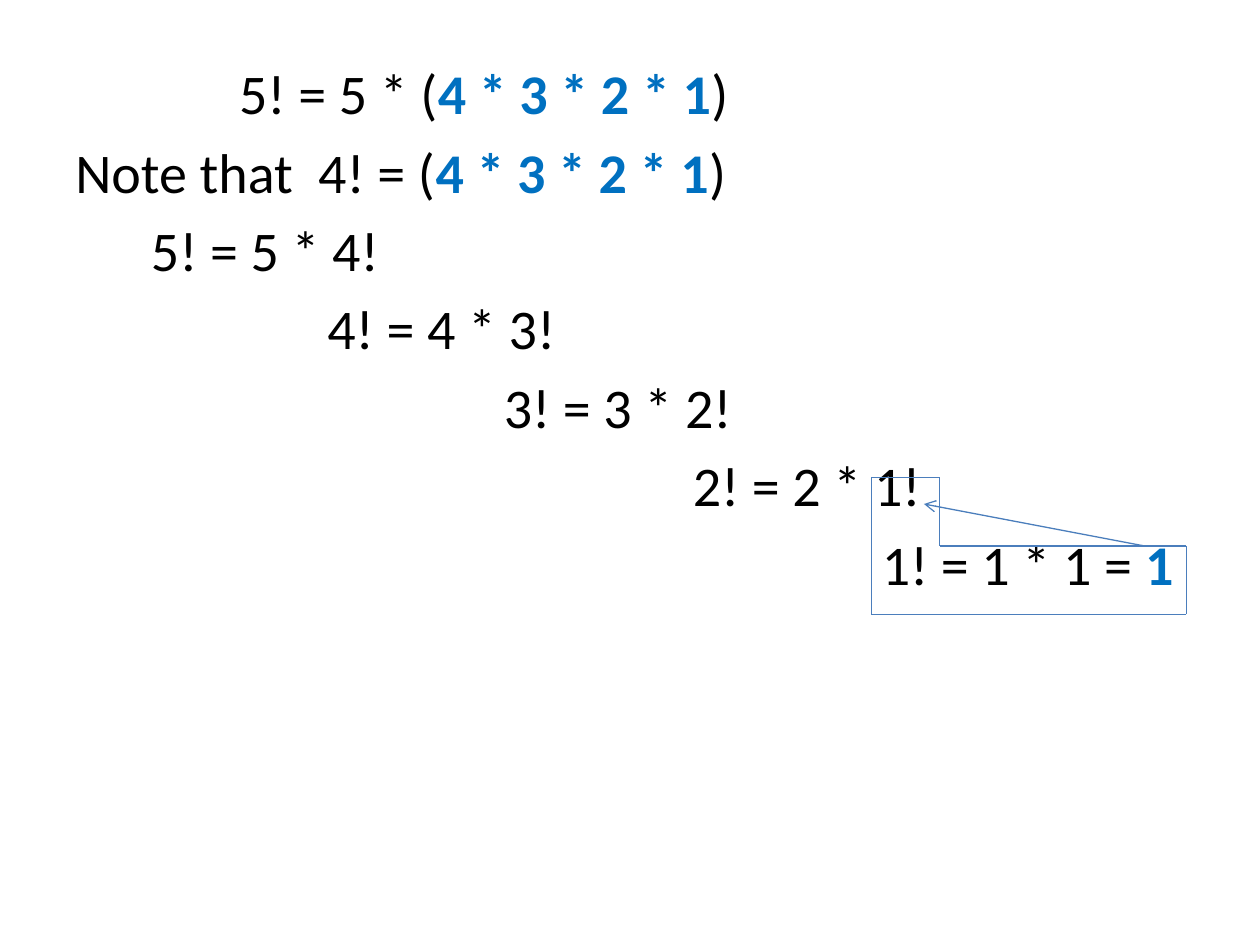
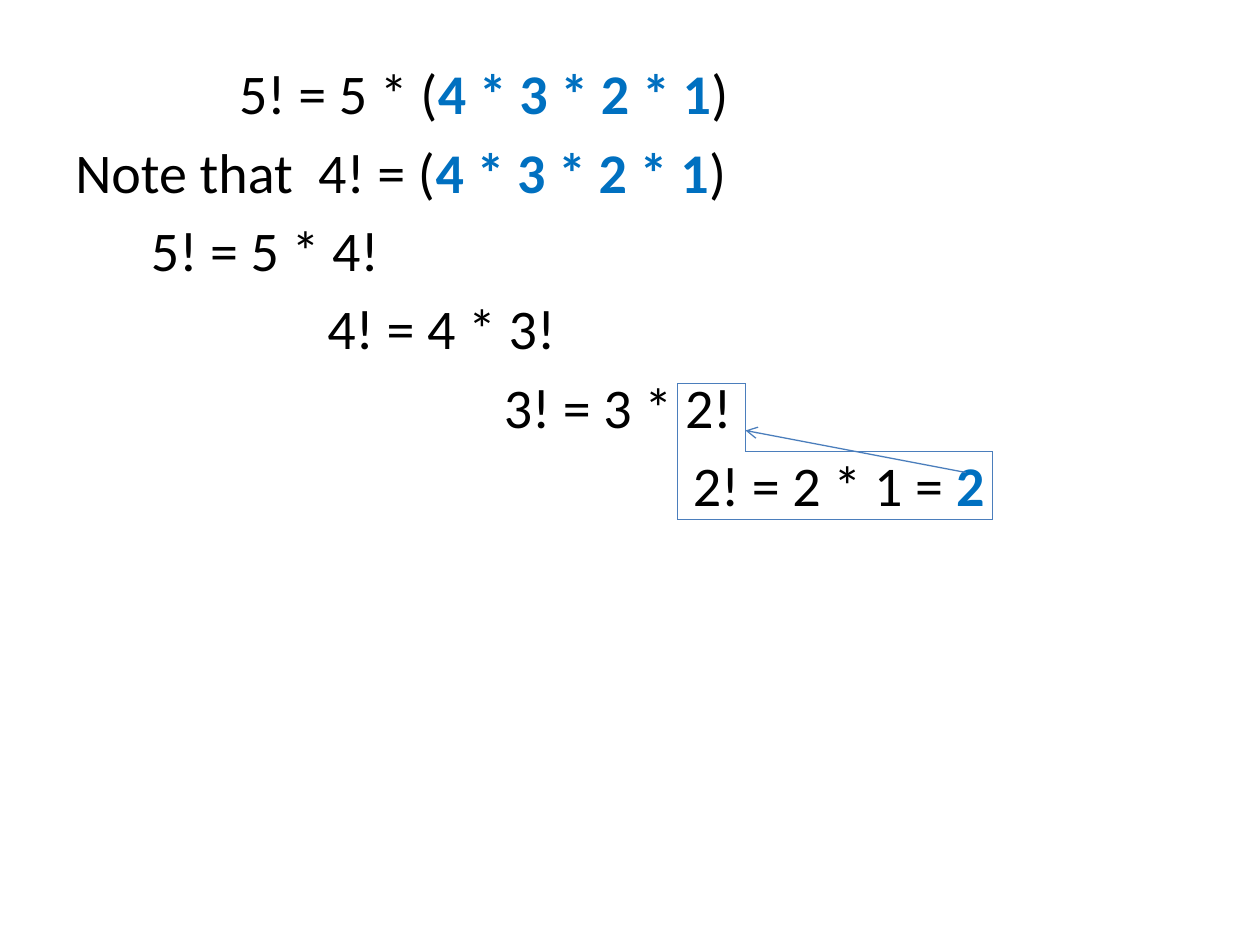
"""Build two slides that unwind the recursive definition of 5!."""
from dataclasses import dataclass
from itertools import pairwise

from lxml import etree
from pptx import Presentation
from pptx.dml.color import RGBColor
from pptx.enum.shapes import MSO_CONNECTOR
from pptx.enum.text import MSO_ANCHOR, PP_ALIGN
from pptx.oxml.ns import qn
from pptx.util import Inches, Pt

STRAIGHT = MSO_CONNECTOR.STRAIGHT
TOP = MSO_ANCHOR.TOP
LEFT = PP_ALIGN.LEFT


@dataclass(frozen=True)
class Theme:
    font: str = "Calibri"
    size: float = 32
    space_before: float = 6.4
    text: str = "000000"
    strong: str = "0070C0"
    line: str = "4B7EBC"
    line_width: float = 0.75
    columns: int = 240
    rows: int = 180
    indent: float = 2.4


def add_text(p, text, *, font, size, color, bold=False):
    r = p.add_run()
    r.text = text
    r.font.name, r.font.size, r.font.bold = font, Pt(size), bold
    r.font.color.rgb = RGBColor.from_string(color)


class Deck:
    def __init__(self, theme):
        self.theme = theme
        self.prs = Presentation()
        self.prs.slide_width, self.prs.slide_height = Inches(10), Inches(7.5)
        self.s = None

    def x(self, column):
        return round(self.prs.slide_width * column / self.theme.columns)

    def y(self, row):
        return round(self.prs.slide_height * row / self.theme.rows)

    def slide(self):
        self.s = self.prs.slides.add_slide(self.prs.slide_layouts[6])

    def equations(self, left, top, width, height, lines):
        t = self.theme
        sp = self.s.shapes.add_textbox(self.x(left), self.y(top), self.x(width), self.y(height))
        tf = sp.text_frame
        tf.word_wrap, tf.vertical_anchor = True, TOP
        for i, (indent, parts) in enumerate(lines):
            p = tf.add_paragraph() if i else tf.paragraphs[0]
            p.alignment, p.space_before = LEFT, Pt(t.space_before)
            p._p.get_or_add_pPr().set("marL", str(self.x(indent * t.indent)))
            for j, part in enumerate(parts):
                strong = j % 2 == 1
                add_text(p, part, font=t.font, size=t.size, bold=strong,
                         color=t.strong if strong else t.text)

    def line(self, start, end, arrow=False):
        (x1, y1), (x2, y2) = start, end
        sp = self.s.shapes.add_connector(STRAIGHT, self.x(x1), self.y(y1), self.x(x2), self.y(y2))
        sp.line.color.rgb = RGBColor.from_string(self.theme.line)
        sp.line.width = Pt(self.theme.line_width)
        if arrow:
            etree.SubElement(sp.line._get_or_add_ln(), qn("a:tailEnd"), type="arrow")
        etree.SubElement(sp._element.spPr, qn("a:effectLst"))

    def step_outline(self, left, top, width=60, step=13):
        right, inner = left + width, left + step
        middle, bottom = top + step, top + 2 * step
        corners = [(left, bottom), (left, top), (inner, top), (inner, middle),
                   (right, middle), (right, bottom), (left, bottom)]
        for start, end in pairwise(corners):
            self.line(start, end)

    def return_arrow(self, column, row, dx=-42, dy=-8):
        self.line((column, row), (column + dx, row + dy), arrow=True)


PRODUCT = "4 * 3 * 2 * 1"
EXPANSION = [
    (13, ["5! = 5 * (", PRODUCT, ")"]),
    (0, ["Note that  4! = (", PRODUCT, ")"]),
    (6, ["5! = 5 * 4!"]),
    (20, ["4! = 4 * 3!"]),
    (34, ["3! = 3 * 2!"]),
]
STEPS = [
    ([(49, ["2! = 2 * 1!"]), (64, ["1! = 1 * 1 = ", "1"])], (218, 104), (166, 91)),
    ([(49, ["2! = 2 * 1 = ", "2"])], (184, 90), (129, 73)),
]


def main():
    deck = Deck(Theme())
    for results, arrow_start, outline_corner in STEPS:
        deck.slide()
        deck.equations(12, 10, 228, 151, EXPANSION + results)
        deck.return_arrow(*arrow_start)
        deck.step_outline(*outline_corner)
    deck.prs.save("out.pptx")


main()
